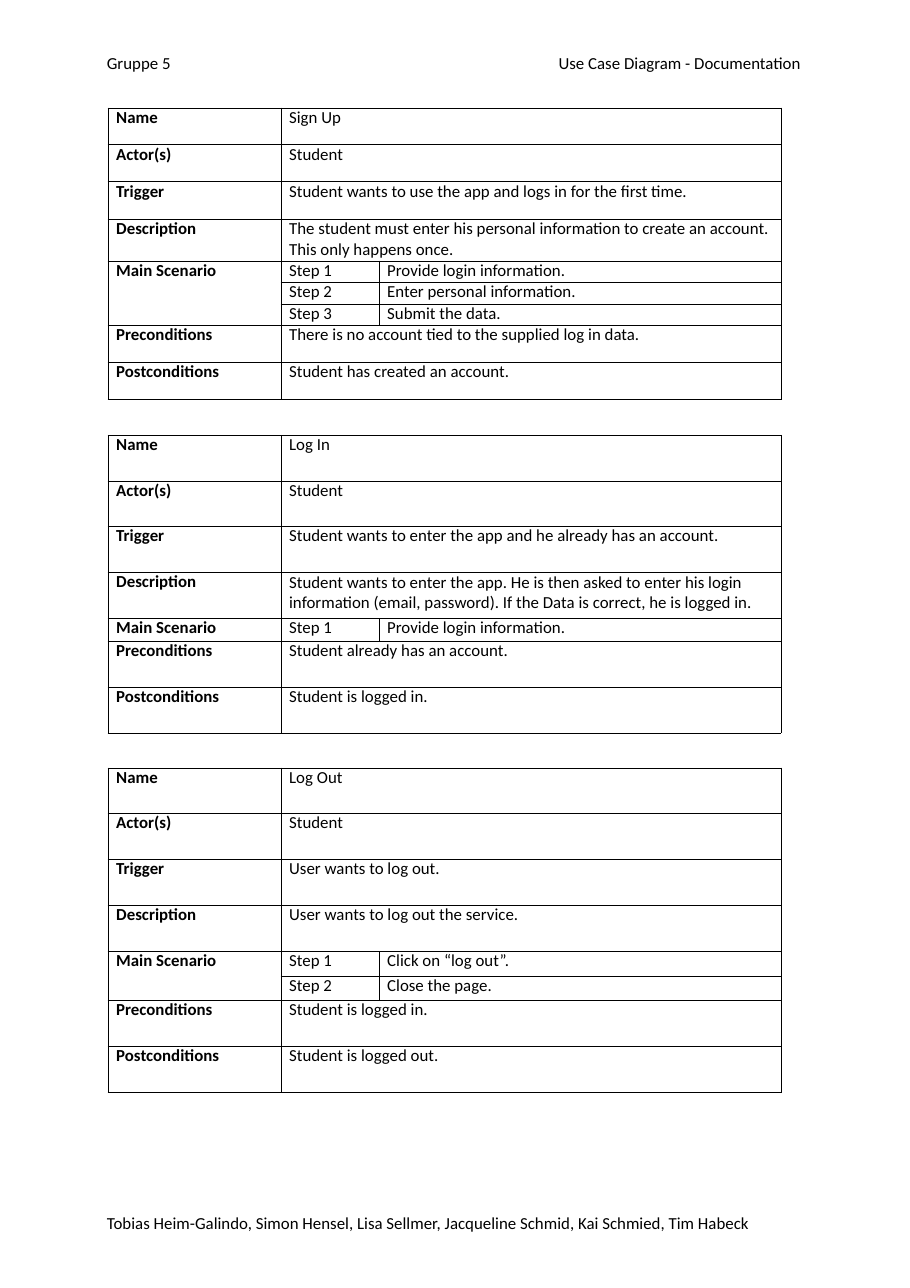
from dataclasses import dataclass

from lxml import etree
from pptx import Presentation
from pptx.dml.color import RGBColor
from pptx.enum.text import MSO_ANCHOR, MSO_AUTO_SIZE, PP_ALIGN
from pptx.oxml.ns import qn
from pptx.util import Pt

TOP = MSO_ANCHOR.TOP
NO_FIT = MSO_AUTO_SIZE.NONE
LEFT = PP_ALIGN.LEFT
PX = 4572  # 200 px to the inch
TITLE_ONLY = 5


@dataclass(frozen=True)
class Theme:
    font: str = "Calibri"
    ink: str = "000000"
    size: float = 11
    footer_line: float = 11.5
    cell_line: float = 13
    description_line: float = 13.3
    border: float = 0.5
    indent: int = 15


THEME = Theme()
PAGE_SIZE = (1652, 2338)
COLUMNS = (314, 178, 730)

# Each use case: its box top, row heights and rows; a list holds the steps
USE_CASES = [
    (196, (67, 67, 68, 76, 39, 39, 38, 68, 67), {
        "Name": "Sign Up",
        "Actor(s)": "Student",
        "Trigger": "Student wants to use the app and logs in for the first time.",
        "Description": "The student must enter his personal information to create "
                       "an account. This only happens once.",
        "Main Scenario": ["Provide login information.",
                          "Enter personal information.",
                          "Submit the data."],
        "Preconditions": "There is no account tied to the supplied log in data.",
        "Postconditions": "Student has created an account.",
    }),
    (790, (83, 83, 83, 84, 41, 84, 83), {
        "Name": "Log In",
        "Actor(s)": "Student",
        "Trigger": "Student wants to enter the app and he already has an account.",
        "Description": "Student wants to enter the app. He is then asked to enter his login\n"
                       "information (email, password). If the Data is correct, he is logged in.",
        "Main Scenario": ["Provide login information."],
        "Preconditions": "Student already has an account.",
        "Postconditions": "Student is logged in.",
    }),
    (1394, (83, 83, 83, 84, 45, 44, 84, 83), {
        "Name": "Log Out",
        "Actor(s)": "Student",
        "Trigger": "User wants to log out.",
        "Description": "User wants to log out the service.",
        "Main Scenario": ["Click on “log out”.", "Close the page."],
        "Preconditions": "Student is logged in.",
        "Postconditions": "Student is logged out.",
    }),
]


def format_text(frame, bold=False, line=None):
    for para in frame.paragraphs:
        para.alignment = LEFT
        if line:
            para.line_spacing = Pt(line)
        for span in para.runs:
            span.font.name = THEME.font
            span.font.size = Pt(THEME.size)
            span.font.bold = bold
            span.font.color.rgb = RGBColor.from_string(THEME.ink)


def place_line(shape, box, text, line=None):
    """Put one line of text in a box without margins."""
    shape.left, shape.top, shape.width, shape.height = (n * PX for n in box)
    frame = shape.text_frame
    frame.margin_left = frame.margin_right = frame.margin_bottom = 0
    frame.margin_top = 0
    frame.vertical_anchor = TOP
    frame.auto_size = NO_FIT
    frame.word_wrap = False
    frame.text = text
    format_text(frame, line=line)


def add_header(page, box):
    left, top, width, height = box
    title_width = 446
    group = page.shapes.add_textbox(0, 0, 0, 0)
    place_line(group, (left, top, 122, height), "Gruppe 5")
    place_line(page.shapes.title,
               (left + width - title_width, top, title_width, height),
               "Use Case Diagram - Documentation")


def add_footer(page, box):
    authors = page.shapes.add_textbox(0, 0, 0, 0)
    place_line(authors, box,
               "Tobias Heim-Galindo, Simon Hensel, Lisa Sellmer, "
               "Jacqueline Schmid, Kai Schmied, Tim Habeck",
               THEME.footer_line)


def outline_cell(cell):
    properties = cell._tc.get_or_add_tcPr()
    for side in ("a:lnL", "a:lnR", "a:lnT", "a:lnB"):
        edge = etree.SubElement(properties, qn(side), w=str(Pt(THEME.border)))
        fill = etree.SubElement(edge, qn("a:solidFill"))
        etree.SubElement(fill, qn("a:srgbClr"), val=THEME.ink)


def fill_cell(cell, text, bold=False, line=THEME.cell_line):
    cell.text_frame.text = text
    format_text(cell.text_frame, bold, line)


def add_use_case(page, box, heights, fields):
    left, top, width, height = (n * PX for n in box)
    table = page.shapes.add_table(len(heights), len(COLUMNS),
                                  left, top, width, height).table
    table.first_row = table.horz_banding = False
    for column, size in zip(table.columns, COLUMNS):
        column.width = size * PX
    for row, size in zip(table.rows, heights):
        row.height = size * PX

    # Labels on the left, one value or several steps on the right
    index = 0
    for label, value in fields.items():
        line = THEME.description_line if label == "Description" else THEME.cell_line
        fill_cell(table.cell(index, 0), label, bold=True)
        if isinstance(value, list):
            last = index + len(value) - 1
            if last > index:
                table.cell(index, 0).merge(table.cell(last, 0))
            for number, step in enumerate(value, 1):
                fill_cell(table.cell(index, 1), f"Step {number}")
                fill_cell(table.cell(index, 2), step)
                index += 1
        else:
            table.cell(index, 1).merge(table.cell(index, 2))
            fill_cell(table.cell(index, 1), value, line=line)
            index += 1

    # Plain white grid; empty text kept small so rows hold their height
    for cell in table.iter_cells():
        cell.margin_left = THEME.indent * PX
        cell.margin_right = cell.margin_top = cell.margin_bottom = 0
        if cell.is_spanned:
            cell.text_frame.paragraphs[0].font.size = Pt(THEME.size)
        else:
            outline_cell(cell)
        cell.fill.background()


def main():
    deck = Presentation()
    deck.slide_width, deck.slide_height = (n * PX for n in PAGE_SIZE)
    page = deck.slides.add_slide(deck.slide_layouts[TITLE_ONLY])
    add_header(page, (194, 96, 1266, 40))
    for top, heights, fields in USE_CASES:
        add_use_case(page, (196, top, sum(COLUMNS), sum(heights)), heights, fields)
    add_footer(page, (194, 2206, 1176, 36))
    deck.save("out.pptx")


if __name__ == "__main__":
    main()
